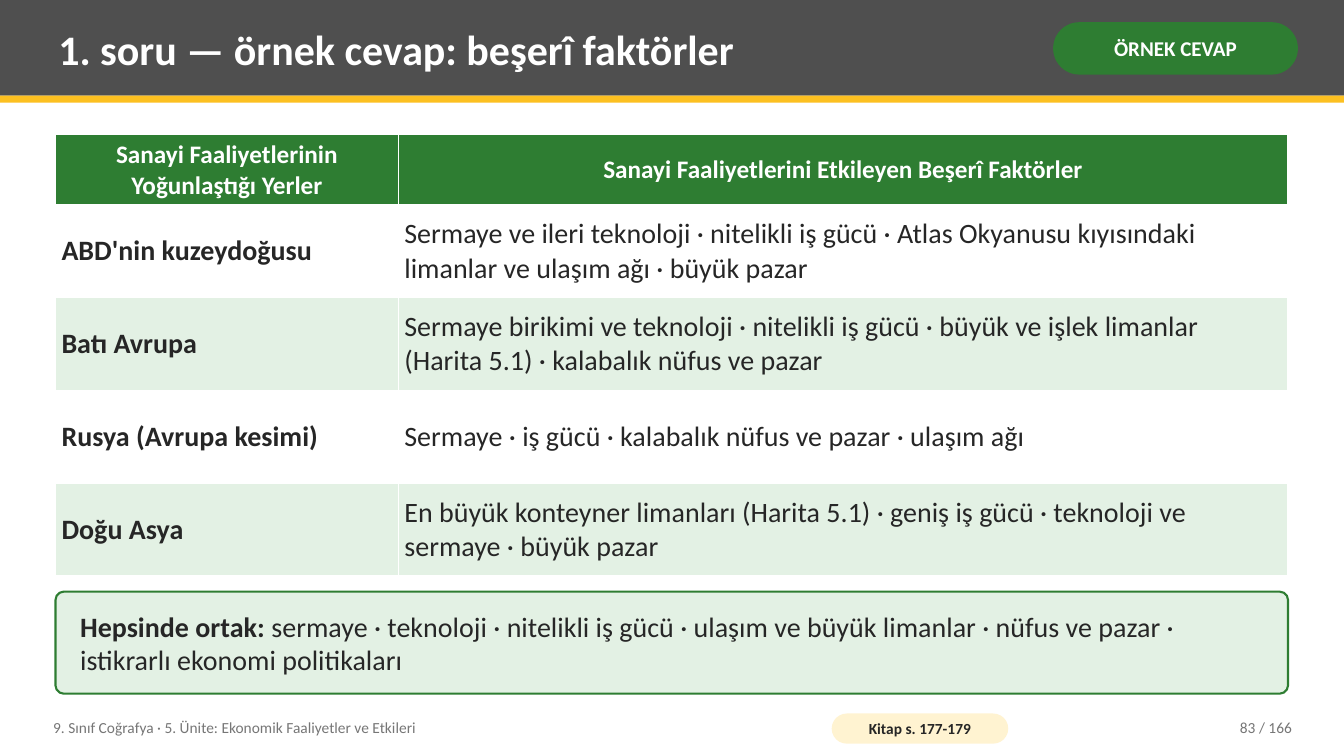
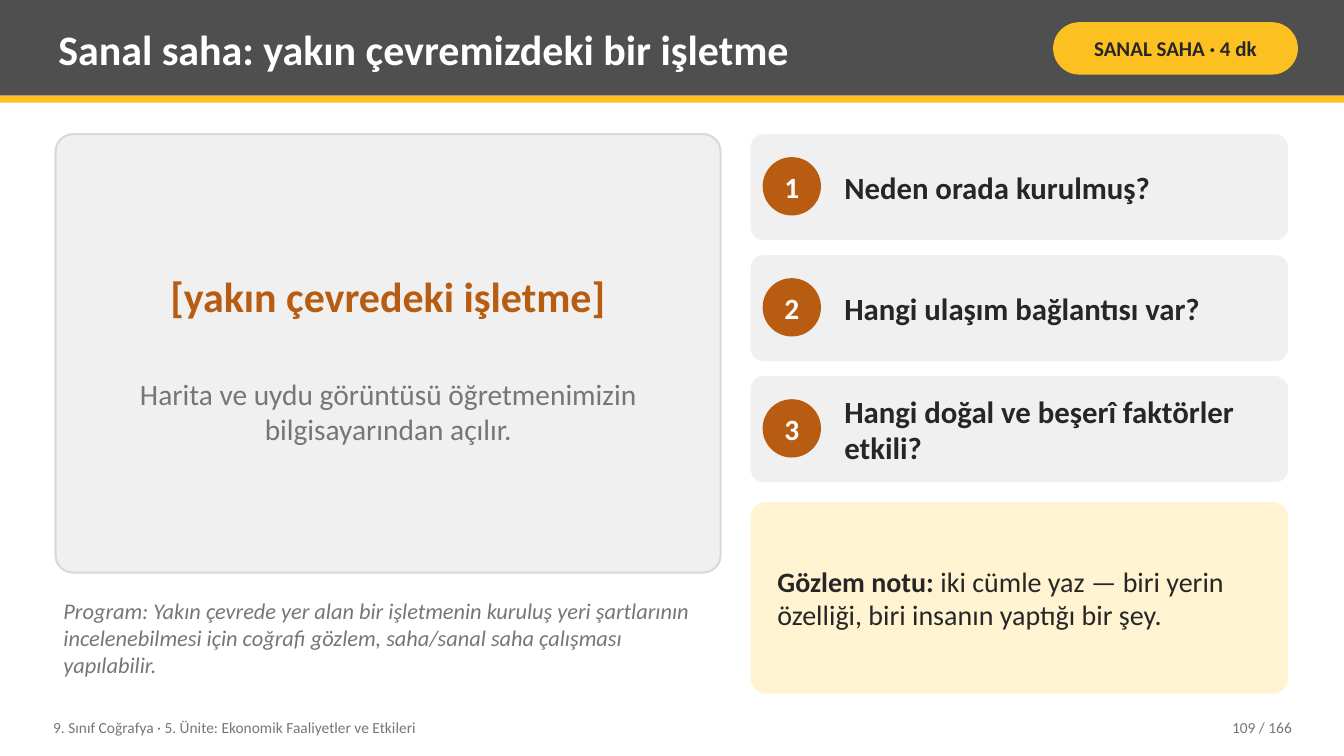
from lxml import etree
from pptx import Presentation
from pptx import util as u
from pptx.dml import color
from pptx.enum import shapes, text
from pptx.oxml import ns

FONT = "Calibri"
DARK, AMBER, GREEN, RUST = "4F4F4F", "FCC021", "2E7D32", "B85C12"
INK, MUTED, WHITE = "262626", "767676", "FFFFFF"
MINT, CREAM, PALE, EDGE = "E3F1E4", "FFF3D1", "F0F0F0", "D9D9D9"
LEFT, TOP, WIDTH, BOTTOM = 1.4, 3.38, 31.06, 17.48
PAGE_WIDTH, PAGE_HEIGHT = 33.87, 19.05

ROUND = shapes.MSO_SHAPE.ROUNDED_RECTANGLE
OVAL = shapes.MSO_SHAPE.OVAL
RECT = shapes.MSO_SHAPE.RECTANGLE
CENTER, RIGHT = text.PP_ALIGN.CENTER, text.PP_ALIGN.RIGHT
MIDDLE = text.MSO_ANCHOR.MIDDLE

TITLE = {"size": 30, "bold": True, "color": WHITE}
FOOTER = {"size": 11, "color": MUTED}
BODY = {"size": 20, "color": INK}
STRONG = {**BODY, "bold": True}
HEADER = {"size": 18, "bold": True, "color": WHITE}


def rgb(value):
    return color.RGBColor.from_string(value)


def set_margins(target, horizontal, vertical):
    for side, length in zip(("left", "top", "right", "bottom"), (horizontal, vertical) * 2):
        setattr(target, f"margin_{side}", u.Cm(length))


def write(frame, spans, align=None):
    para = frame.paragraphs[0]
    para.alignment = align
    for words, style in spans:
        span = para.add_run()
        span.text = words
        values = {"name": FONT, **style}
        span.font.color.rgb = rgb(values.pop("color"))
        values["size"] = u.Pt(values["size"])
        for name, value in values.items():
            setattr(span.font, name, value)


def fill_frame(frame, spans, align, margins, wrap=True):
    frame.word_wrap = wrap
    frame.vertical_anchor = MIDDLE
    set_margins(frame, *margins)
    write(frame, spans, align)


def add_text(page, box, words, style, align=None):
    label = page.shapes.add_textbox(*map(u.Cm, box))
    fill_frame(label.text_frame, [(words, style)], align, (0.2, 0.1))


def add_panel(page, kind, box, fill, corner=None, edge=None):
    panel = page.shapes.add_shape(kind, *map(u.Cm, box))
    panel.shadow.inherit = False
    panel.fill.solid()
    panel.fill.fore_color.rgb = rgb(fill)
    if corner is not None:
        panel.adjustments[0] = corner
    if edge:
        panel.line.color.rgb = rgb(edge)
        panel.line.width = u.Pt(1.5)
    else:
        panel.line.fill.background()
    return panel


def add_pill(page, box, words, fill, size, ink, margins):
    pill = add_panel(page, ROUND, box, fill, 0.5)
    style = {"size": size, "bold": True, "color": ink}
    fill_frame(pill.text_frame, [(words, style)], CENTER, margins)


def add_callout(page, box, lead, rest, fill, edge=None):
    callout = add_panel(page, ROUND, box, fill, 0.08, edge)
    fill_frame(callout.text_frame, [(lead, STRONG), (rest, BODY)], None, (0.56, 0.2))


def add_page(deck, title, badge, badge_fill, badge_ink, number):
    page = deck.slides.add_slide(deck.slide_layouts[6])
    add_panel(page, RECT, (0, 0, PAGE_WIDTH, 2.41), DARK)
    add_panel(page, RECT, (0, 2.41, PAGE_WIDTH, 0.18), AMBER)
    add_text(page, (1.27, 0.18, 24.77, 2.08), title, TITLE)
    add_pill(page, (26.54, 0.56, 6.17, 1.32), badge, badge_fill, 15, badge_ink, (0.13, 0.05))
    add_text(page, (1.14, 17.88, 19.3, 0.91),
             "9. Sınıf Coğrafya · 5. Ünite: Ekonomik Faaliyetler ve Etkileri", FOOTER)
    add_text(page, (28.7, 17.88, 4.06, 0.91), f"{number} / 166", FOOTER, RIGHT)
    return page


def add_borders(cell):
    properties = cell._tc.get_or_add_tcPr()
    for position, side in enumerate(("lnL", "lnR", "lnT", "lnB")):
        line = etree.Element(ns.qn(f"a:{side}"), w=str(u.Pt(0.96)))
        solid = etree.SubElement(line, ns.qn("a:solidFill"))
        etree.SubElement(solid, ns.qn("a:srgbClr"), val=WHITE)
        properties.insert(position, line)


def add_factor_table(page, box, rows):
    left, top, width, height = box
    place_width, header_height = 8.64, 1.68
    frame = page.shapes.add_table(len(rows), 2, *map(u.Cm, box))
    table = frame.table
    table.first_row = table.horz_banding = False
    for column, length in zip(table.columns, (place_width, width - place_width)):
        column.width = u.Cm(length)
    for index, row in enumerate(rows):
        is_header = index == 0
        row_height = header_height if is_header else (height - header_height) / (len(rows) - 1)
        table.rows[index].height = u.Cm(row_height)
        fill = GREEN if is_header else (MINT, WHITE)[index % 2]
        styles = (HEADER, HEADER) if is_header else (STRONG, BODY)
        for cell, words, style in zip(table.rows[index].cells, row, styles):
            cell.fill.solid()
            cell.fill.fore_color.rgb = rgb(fill)
            cell.vertical_anchor = MIDDLE
            set_margins(cell, 0.15, 0.13)
            write(cell.text_frame, [(words, style)], CENTER if is_header else None)
            add_borders(cell)


def add_site_panel(page, box):
    left, top, width, height = box
    add_panel(page, ROUND, box, PALE, 0.04, EDGE)
    add_text(page, (left + 0.76, top + 2.92, width - 1.52, 2.29), "[yakın çevredeki işletme]",
             {"size": 30, "bold": True, "color": RUST}, CENTER)
    add_text(page, (left + 1.02, top + 5.46, width - 2.03, 3.05),
             "Harita ve uydu görüntüsü öğretmenimizin bilgisayarından açılır.",
             {"size": 21, "color": MUTED}, CENTER)


def add_question(page, box, number, question):
    left, top, width, height = box
    disc = 1.47
    add_panel(page, ROUND, box, PALE, 0.12)
    circle = add_panel(page, OVAL, (left + 0.3, top + 0.58, disc, disc), RUST)
    fill_frame(circle.text_frame, [(str(number), {"size": 21, "bold": True, "color": WHITE})],
               CENTER, (0, 0), False)
    add_text(page, (left + 2.16, top, width - 2.41, height), question,
             {"size": 22, "bold": True, "color": INK})


def build_answer(deck):
    page = add_page(deck, "1. soru — örnek cevap: beşerî faktörler",
                    "ÖRNEK CEVAP", GREEN, WHITE, 83)
    add_factor_table(page, (LEFT, TOP, WIDTH, 11.03), [
        ("Sanayi Faaliyetlerinin Yoğunlaştığı Yerler",
         "Sanayi Faaliyetlerini Etkileyen Beşerî Faktörler"),
        ("ABD'nin kuzeydoğusu",
         "Sermaye ve ileri teknoloji · nitelikli iş gücü · "
         "Atlas Okyanusu kıyısındaki limanlar ve ulaşım ağı · büyük pazar"),
        ("Batı Avrupa",
         "Sermaye birikimi ve teknoloji · nitelikli iş gücü · "
         "büyük ve işlek limanlar (Harita 5.1) · kalabalık nüfus ve pazar"),
        ("Rusya (Avrupa kesimi)",
         "Sermaye · iş gücü · kalabalık nüfus ve pazar · ulaşım ağı"),
        ("Doğu Asya",
         "En büyük konteyner limanları (Harita 5.1) · geniş iş gücü · "
         "teknoloji ve sermaye · büyük pazar"),
    ])
    add_callout(page, (LEFT, 14.91, WIDTH, BOTTOM - 14.91), "Hepsinde ortak:",
                " sermaye · teknoloji · nitelikli iş gücü · ulaşım ve büyük limanlar · "
                "nüfus ve pazar · istikrarlı ekonomi politikaları", MINT, GREEN)
    add_pill(page, (20.96, 17.98, 4.45, 0.76), "Kitap s. 177-179", CREAM, 11, INK, (0.1, 0))


def build_field_trip(deck):
    page = add_page(deck, "Sanal saha: yakın çevremizdeki bir işletme",
                    "SANAL SAHA · 4 dk", AMBER, INK, 109)
    panel_width, side_left = 16.76, 18.92
    side_width = LEFT + WIDTH - side_left
    add_site_panel(page, (LEFT, TOP, panel_width, 11.05))
    add_text(page, (LEFT, 14.68, panel_width, 2.79),
             "Program: Yakın çevrede yer alan bir işletmenin kuruluş yeri şartlarının "
             "incelenebilmesi için coğrafi gözlem, saha/sanal saha çalışması yapılabilir.",
             {"size": 16, "italic": True, "color": MUTED})
    questions = ("Neden orada kurulmuş?", "Hangi ulaşım bağlantısı var?",
                 "Hangi doğal ve beşerî faktörler etkili?")
    for index, question in enumerate(questions):
        add_question(page, (side_left, TOP + 3.05 * index, side_width, 2.67), index + 1, question)
    add_callout(page, (side_left, 12.65, side_width, BOTTOM - 12.65), "Gözlem notu:",
                " iki cümle yaz — biri yerin özelliği, biri insanın yaptığı bir şey.", CREAM)


def main():
    deck = Presentation()
    deck.slide_width, deck.slide_height = u.Cm(PAGE_WIDTH), u.Cm(PAGE_HEIGHT)
    build_answer(deck)
    build_field_trip(deck)
    deck.save("out.pptx")


if __name__ == "__main__":
    main()
